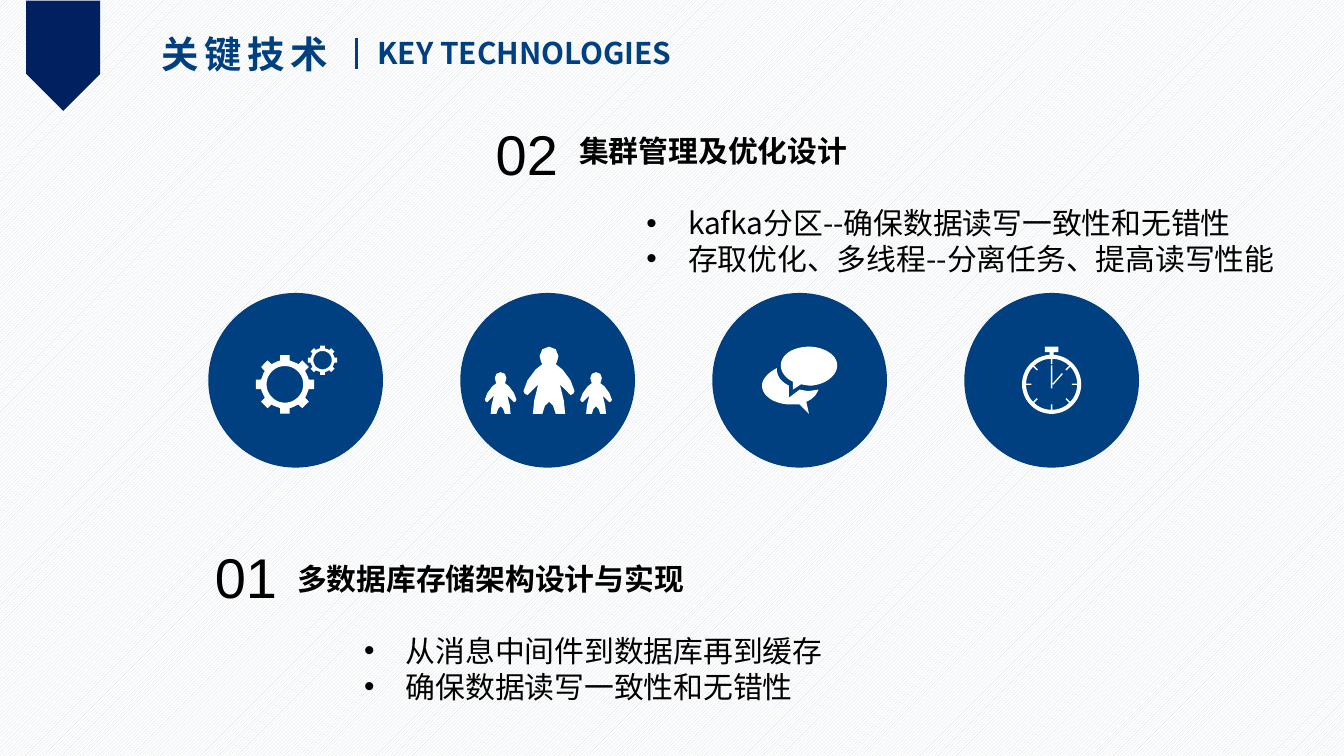
from dataclasses import dataclass
from math import cos, pi, sin

from lxml import etree
from pptx import Presentation
from pptx import util as u
from pptx.dml.color import RGBColor
from pptx.enum import dml, shapes, text
from pptx.oxml.ns import qn

NAVY = RGBColor(0x00, 0x20, 0x60)
BLUE = RGBColor(0x00, 0x40, 0x80)
HATCH = RGBColor(0xD6, 0xDC, 0xE5)
WHITE = RGBColor(0xFF, 0xFF, 0xFF)
BLACK = RGBColor(0x00, 0x00, 0x00)
SANS, ARIAL = "Noto Sans CJK SC", "Arial"

WIDTH = 10
HEIGHT = WIDTH * 9 / 16
FIRST_CENTER, PITCH, ROW_CENTER = 0.22 * WIDTH, 0.1875 * WIDTH, 2.83
DIAMETER = 1.3
LINE_PT = 19.3

Point = tuple[float, float]
Contour = list[Point]


@dataclass
class Topic:
    number: str
    number_at: tuple
    heading: str
    spacing: float
    points: tuple
    at: tuple


TOPICS = (
    Topic("01", (1.5, 3.99, 0.67, 0.61), "多数据库存储架构设计与实现", 1.5,
          ("从消息中间件到数据库再到缓存", "确保数据读写一致性和无错性"),
          (2.11, 3.99, 4.12, 1.31)),
    Topic("02", (3.59, 0.84, 0.72, 0.6), "集群管理及优化设计", 1.0,
          ("kafka分区--确保数据读写一致性和无错性",
           "存取优化、多线程--分离任务、提高读写性能"),
          (4.21, 0.94, 5.51, 1.18)),
)


def arc(cx: float, cy: float, radius: float, steps: int = 60) -> Contour:
    """Full circle as a closed contour."""
    return [(cx + radius * cos(2 * pi * i / steps), cy + radius * sin(2 * pi * i / steps))
            for i in range(steps)]


def bar(start: Point, end: Point, width: float) -> Contour:
    """Thin rectangle along the line from start to end."""
    (x1, y1), (x2, y2) = start, end
    length = ((x2 - x1) ** 2 + (y2 - y1) ** 2) ** 0.5
    dx, dy = (y1 - y2) / length * width / 2, (x2 - x1) / length * width / 2
    return [(x1 + dx, y1 + dy), (x2 + dx, y2 + dy), (x2 - dx, y2 - dy), (x1 - dx, y1 - dy)]


def curved(*steps: tuple) -> Contour:
    """Outline of corners (x, y) and cubic curves (x1, y1, x2, y2, x, y)."""
    outline: Contour = []
    for step in steps:
        if len(step) == 2:
            outline.append(step)
            continue
        knots = (outline[-1], step[:2], step[2:4], step[4:])
        for t in (i / 12 for i in range(1, 13)):
            weights = ((1 - t) ** 3, 3 * t * (1 - t) ** 2, 3 * t * t * (1 - t), t ** 3)
            outline.append(tuple(sum(w * k[axis] for w, k in zip(weights, knots))
                                 for axis in (0, 1)))
    return outline


def gear(cx: float, cy: float, tip: float) -> list[Contour]:
    body, teeth = 0.82 * tip, 8
    rim = []
    for tooth in range(teeth):
        for turn, radius in ((-0.2, body), (-0.16, tip), (0.16, tip), (0.2, body), (0.5, body)):
            angle = 2 * pi * tooth / teeth + turn
            rim.append((cx + radius * cos(angle), cy + radius * sin(angle)))
    return [rim, arc(cx, cy, 0.62 * tip)]


def person(cx: float, top: float, scale: float) -> Contour:
    half = [(0, 0), (0.05, 0.02), (0.07, 0.07), (0.06, 0.11), (0.05, 0.13), (0.1, 0.17),
            (0.16, 0.25), (0.19, 0.33), (0.18, 0.35), (0.16, 0.36), (0.12, 0.32),
            (0.08, 0.28), (0.11, 0.4), (0.12, 0.5), (0.05, 0.5), (0.03, 0.44), (0, 0.41)]
    outline = half + [(-x, y) for x, y in reversed(half)]
    return [(cx + scale * x, top + scale * y) for x, y in outline]


def speech_bubbles() -> list[Contour]:
    rear = curved((0, 0.07), (-0.08, 0.13), (-0.08, 0.04),
                  (-0.14, 0.01, -0.17, -0.03, -0.17, -0.09),
                  (-0.23, -0.06, -0.28, -0.01, -0.28, 0.04),
                  (-0.28, 0.12, -0.18, 0.18, -0.07, 0.18),
                  (0, 0.18), (0.07, 0.25), (0.05, 0.16),
                  (0.1, 0.14, 0.13, 0.1, 0.14, 0.07), (0.12, 0.07, 0.09, 0.08, 0.06, 0.08))
    front = curved((0.07, -0.25), (-0.05, -0.25, -0.14, -0.19, -0.14, -0.11),
                   (-0.14, -0.06, -0.1, -0.01, -0.05, 0.01), (-0.05, 0.07), (0.01, 0.03),
                   (0.07, 0.04), (0.18, 0.04, 0.28, -0.03, 0.28, -0.11),
                   (0.28, -0.19, 0.18, -0.25, 0.07, -0.25))
    return [rear, front]


def stopwatch() -> list[Contour]:
    cy = 0.03
    ticks = []
    for i in range(8):
        dx, dy = cos(i * pi / 4), sin(i * pi / 4)
        ticks.append(bar((0.15 * dx, cy + 0.15 * dy), (0.19 * dx, cy + 0.19 * dy), 0.01))
    return [arc(0, cy, 0.22), arc(0, cy, 0.19), *ticks,
            bar((0, -0.25), (0, -0.21), 0.1), bar((0, -0.21), (0, -0.19), 0.03),
            bar((0, -0.11), (0, 0.06), 0.01), bar((0.01, 0.03), (0.08, -0.05), 0.01)]


ICONS = (
    gear(-0.08, 0.03, 0.22) + gear(0.2, -0.15, 0.11),
    [person(0.01, -0.25, 1), person(-0.35, -0.06, 0.62), person(0.36, -0.06, 0.62)],
    speech_bubbles(),
    stopwatch(),
)


def place(shape, at: tuple) -> None:
    shape.left, shape.top, shape.width, shape.height = (u.Inches(v) for v in at)


def paint(shape, color: RGBColor) -> None:
    shape.shadow.inherit = False
    shape.fill.solid()
    shape.fill.fore_color.rgb = color
    shape.line.fill.background()


def draw_icon(slide, column: int, contours: list[Contour]) -> None:
    cx = FIRST_CENTER + column * PITCH
    corner = (cx - DIAMETER / 2, ROW_CENTER - DIAMETER / 2)
    disc = slide.shapes.add_shape(
        shapes.MSO_SHAPE.OVAL, *(u.Inches(v) for v in (*corner, DIAMETER, DIAMETER)))
    paint(disc, BLUE)
    builder = None
    for contour in contours:
        first, *rest = [((cx + x) * 1000, (ROW_CENTER + y) * 1000) for x, y in contour]
        if builder is None:
            builder = slide.shapes.build_freeform(*first, scale=914.4)
        else:
            builder.move_to(*first)
        builder.add_line_segments(rest, close=True)
    paint(builder.convert_to_shape(), WHITE)


def write(paragraph, words: str, *, size: float, font: str = SANS, color: RGBColor = BLACK,
          bold: bool = False, tracking: float = 0, bullet: bool = False,
          before: float = 0, spacing: float = 1.0) -> None:
    props = paragraph._p.get_or_add_pPr()
    props.set("marL", str(u.Inches(0.81 if bullet else 0)))
    props.set("indent", str(u.Inches(-0.31 if bullet else 0)))
    if bullet:
        etree.SubElement(props, qn("a:buFont")).set("typeface", ARIAL)
        etree.SubElement(props, qn("a:buChar")).set("char", "•")
    else:
        etree.SubElement(props, qn("a:buNone"))
    paragraph.alignment = text.PP_ALIGN.LEFT
    paragraph.space_before = u.Pt(before)
    paragraph.line_spacing = spacing
    run = paragraph.add_run()
    run.text = words
    run.font.size, run.font.bold, run.font.name = u.Pt(size), bold, font
    run.font.color.rgb = color
    run_props = run._r.get_or_add_rPr()
    etree.SubElement(run_props, qn("a:ea")).set("typeface", font)
    if tracking:
        run_props.set("spc", str(int(tracking * 100)))


def open_frame(shape, at: tuple):
    """Place a text shape and return its first paragraph."""
    place(shape, at)
    frame = shape.text_frame
    frame.word_wrap = True
    frame.auto_size = text.MSO_AUTO_SIZE.NONE
    frame.vertical_anchor = text.MSO_ANCHOR.TOP
    return frame.paragraphs[0]


def add_label(slide, at: tuple, words: str, **style) -> None:
    write(open_frame(slide.shapes.add_textbox(0, 0, 0, 0), at), words, **style)


def add_topic(slide, body, topic: Topic) -> None:
    write(open_frame(body, topic.at), topic.heading, size=16, bold=True, spacing=topic.spacing)
    for i, point in enumerate(topic.points):
        write(body.text_frame.add_paragraph(), point, size=16, bullet=True,
              before=0 if i else LINE_PT)
    add_label(slide, topic.number_at, topic.number, size=30, font=ARIAL)


def main() -> None:
    deck = Presentation()
    deck.slide_width, deck.slide_height = u.Inches(WIDTH), u.Inches(HEIGHT)
    slide = deck.slides.add_slide(deck.slide_layouts.get_by_name("Two Content"))
    backdrop = slide.background.fill
    backdrop.patterned()
    backdrop.pattern = dml.MSO_PATTERN.LIGHT_UPWARD_DIAGONAL
    backdrop.fore_color.rgb, backdrop.back_color.rgb = HATCH, WHITE

    ribbon = slide.shapes.add_shape(shapes.MSO_SHAPE.PENTAGON, 0, 0, 0, 0)
    place(ribbon, (0.06, 0.14, 0.82, 0.55))
    ribbon.rotation = 90
    paint(ribbon, NAVY)

    title, *bodies = slide.placeholders
    write(open_frame(title, (1.1, 0.18, 1.5, 0.44)), "关键技术",
          size=20, color=BLUE, bold=True, tracking=3)
    add_label(slide, (2.71, 0.21, 2.46, 0.37), "KEY TECHNOLOGIES",
              size=16, color=BLUE, bold=True)
    divider = slide.shapes.add_connector(
        shapes.MSO_CONNECTOR.STRAIGHT, *(u.Inches(v) for v in (2.65, 0.28, 2.65, 0.51)))
    divider.line.color.rgb, divider.line.width = BLUE, u.Pt(1.5)
    etree.SubElement(divider._element.spPr, qn("a:effectLst"))

    for column, contours in enumerate(ICONS):
        draw_icon(slide, column, contours)
    for body, topic in zip(bodies, TOPICS):
        add_topic(slide, body, topic)
    deck.save("out.pptx")


if __name__ == "__main__":
    main()
